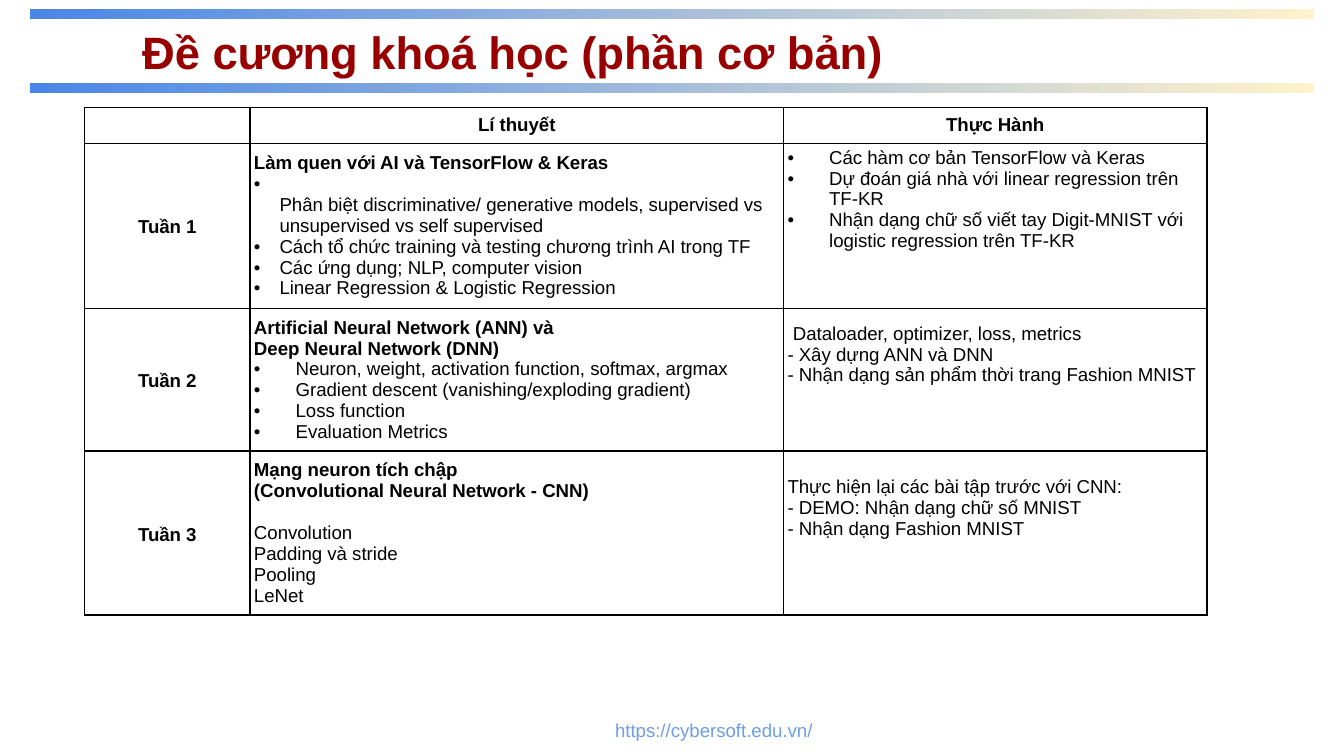
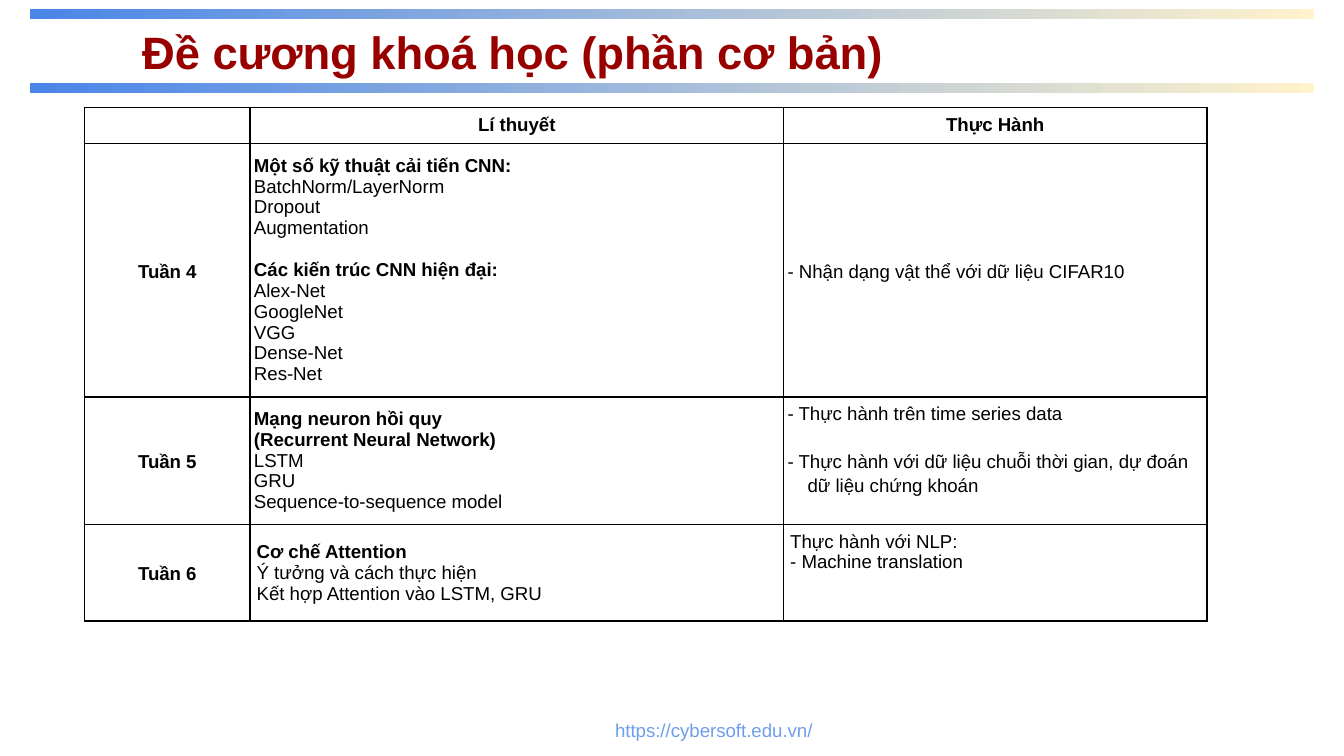
from lxml.etree import SubElement
from collections import namedtuple

from pptx import Presentation
from pptx.dml.color import RGBColor
from pptx.enum.shapes import MSO_SHAPE
from pptx.enum.text import MSO_ANCHOR, PP_ALIGN
from pptx.oxml.ns import qn
from pptx.util import Inches, Pt

BLUE = RGBColor(0x4A, 0x86, 0xE8)
CREAM = RGBColor(0xFF, 0xF2, 0xCC)
LINK_BLUE = RGBColor(0x6D, 0x9E, 0xEB)
DARK_RED = RGBColor(0x98, 0x00, 0x00)
BLACK = RGBColor(0x00, 0x00, 0x00)
FONT = "Arial"

TITLE = "Đề cương khoá học (phần cơ bản)"
FOOTER = "https://cybersoft.edu.vn/"
HEADERS = ["", "Lí thuyết", "Thực Hành"]
COLUMN_WIDTHS = [1.23, 3.97, 3.15]
HEADER_HEIGHT = 0.26
TABLE_LEFT, TABLE_TOP = 0.63, 0.8

# left and hanging are in inches, before in points
Style = namedtuple("Style", "bold bullet left hanging spacing before align",
                   defaults=(False, False, 0, 0, 1.0, 0, PP_ALIGN.LEFT))
PLAIN = Style()
SPACED = Style(before=11.2)
NUDGED = Style(left=0.04)
HEADING = Style(bold=True)
SPACED_HEADING = Style(bold=True, before=11.2)
COLUMN_HEAD = Style(bold=True, align=PP_ALIGN.CENTER)
WEEK = Style(bold=True, spacing=1.15, align=PP_ALIGN.CENTER)
BULLET = Style(bullet=True, left=0.31, hanging=0.31)
NARROW_BULLET = Style(bullet=True, left=0.19, hanging=0.19)
DASH = Style(left=0.15, hanging=0.15, spacing=1.15)
SPACED_DASH = DASH._replace(before=12.9)

# A cell with a top inset hangs from the top; the others are centred vertically
Cell = namedtuple("Cell", "lines margin top", defaults=(0.03, None))
Week = namedtuple("Week", "name height theory practice")

COURSE = [
    [
        Week("Tuần 1", 1.15, Cell([
            (HEADING, "Làm quen với AI và TensorFlow & Keras"),
            (NARROW_BULLET, "\vPhân biệt discriminative/ generative models, "
                            "supervised vs unsupervised vs self supervised"),
            (NARROW_BULLET, "Cách tổ chức training và testing chương trình AI trong TF"),
            (NARROW_BULLET, "Các ứng dụng; NLP, computer vision"),
            (NARROW_BULLET, "Linear Regression & Logistic Regression"),
        ]), Cell([
            (BULLET, "Các hàm cơ bản TensorFlow và Keras"),
            (BULLET, "Dự đoán giá nhà với linear regression trên TF-KR"),
            (BULLET, "Nhận dạng chữ số viết tay Digit-MNIST với "
                     "logistic regression trên TF-KR"),
        ], top=0.03)),
        Week("Tuần 2", 0.99, Cell([
            (HEADING, "Artificial Neural Network (ANN) và \vDeep Neural Network (DNN)"),
            (BULLET, "Neuron, weight, activation function, softmax, argmax"),
            (BULLET, "Gradient descent (vanishing/exploding gradient)"),
            (BULLET, "Loss function"),
            (BULLET, "Evaluation Metrics"),
        ]), Cell([
            (NUDGED, "Dataloader, optimizer, loss, metrics"),
            (PLAIN, "- Xây dựng ANN và DNN"),
            (PLAIN, "- Nhận dạng sản phẩm thời trang Fashion MNIST"),
        ], top=0.11)),
        Week("Tuần 3", 1.14, Cell([
            (HEADING, "Mạng neuron tích chập \v(Convolutional Neural Network - CNN)"),
            (SPACED, "Convolution"),
            (PLAIN, "Padding và stride"),
            (PLAIN, "Pooling"),
            (PLAIN, "LeNet"),
        ]), Cell([
            (PLAIN, "Thực hiện lại các bài tập trước với CNN:"),
            (PLAIN, "- DEMO: Nhận dạng chữ số MNIST"),
            (PLAIN, "- Nhận dạng Fashion MNIST"),
        ], top=0.19)),
    ],
    [
        Week("Tuần 4", 1.76, Cell([
            (HEADING, "Một số kỹ thuật cải tiến CNN:"),
            (PLAIN, "BatchNorm/LayerNorm"),
            (PLAIN, "Dropout"),
            (PLAIN, "Augmentation"),
            (SPACED_HEADING, "Các kiến trúc CNN hiện đại:"),
            (PLAIN, "Alex-Net"),
            (PLAIN, "GoogleNet"),
            (PLAIN, "VGG"),
            (PLAIN, "Dense-Net"),
            (PLAIN, "Res-Net"),
        ]), Cell([
            (DASH, "- Nhận dạng vật thể với dữ liệu CIFAR10"),
        ])),
        Week("Tuần 5", 0.95, Cell([
            (HEADING, "Mạng neuron hồi quy \v(Recurrent Neural Network)"),
            (PLAIN, "LSTM"),
            (PLAIN, "GRU"),
            (PLAIN, "Sequence-to-sequence model"),
        ]), Cell([
            (DASH, "- Thực hành trên time series data"),
            (SPACED_DASH, "- Thực hành với dữ liệu chuỗi thời gian, "
                          "dự đoán dữ liệu chứng khoán"),
        ], top=0.03)),
        Week("Tuần 6", 0.72, Cell([
            (HEADING, "Cơ chế Attention"),
            (PLAIN, "Ý tưởng và cách thực hiện"),
            (PLAIN, "Kết hợp Attention vào LSTM, GRU"),
        ], margin=0.05), Cell([
            (PLAIN, "Thực hành với NLP:"),
            (PLAIN, "- Machine translation"),
        ], margin=0.05, top=0.05)),
    ],
]


def add_label(slide, text, box, inset, anchor, align, size, color, bold=False):
    """Add a one-paragraph text box; inset is its top and bottom margin."""
    frame = slide.shapes.add_textbox(*map(Inches, box)).text_frame
    frame.word_wrap = True
    frame.margin_left = frame.margin_right = Inches(0.1)
    frame.margin_top = frame.margin_bottom = Inches(inset)
    frame.vertical_anchor = anchor
    paragraph = frame.paragraphs[0]
    paragraph.text = text
    paragraph.alignment = align
    paragraph.font.name = FONT
    paragraph.font.size = Pt(size)
    paragraph.font.bold = bold
    paragraph.font.color.rgb = color


def fill_cell(table_cell, content):
    """Write the styled lines of content and draw the cell's black border."""
    table_cell.margin_left = table_cell.margin_right = Inches(content.margin)
    table_cell.margin_bottom = Inches(content.margin)
    if content.top is None:
        table_cell.margin_top = Inches(content.margin)
        table_cell.vertical_anchor = MSO_ANCHOR.MIDDLE
    else:
        table_cell.margin_top = Inches(content.top)
        table_cell.vertical_anchor = MSO_ANCHOR.TOP

    frame = table_cell.text_frame
    for index, (style, text) in enumerate(content.lines):
        paragraph = frame.add_paragraph() if index else frame.paragraphs[0]
        paragraph.text = text
        paragraph.alignment = style.align
        paragraph.line_spacing = style.spacing
        if style.before:
            paragraph.space_before = Pt(style.before)
        properties = paragraph._p.get_or_add_pPr()
        properties.set("marL", str(Inches(style.left)))
        properties.set("indent", str(-Inches(style.hanging)))
        if style.bullet:
            SubElement(properties, qn("a:buFont"), typeface=FONT)
            SubElement(properties, qn("a:buChar"), char="•")
        # Row heights are measured from the fonts of runs, breaks and paragraph ends
        for font in [paragraph.font] + [run.font for run in paragraph.runs]:
            font.name = FONT
            font.size = Pt(10)
            font.bold = style.bold
            font.color.rgb = BLACK
        marks = [SubElement(line_break, qn("a:rPr"), sz="1000")
                 for line_break in paragraph._p.findall(qn("a:br"))]
        marks.append(SubElement(paragraph._p, qn("a:endParaRPr"), sz="1000"))
        for mark in marks:
            SubElement(mark, qn("a:latin"), typeface=FONT)

    cell_properties = table_cell._tc.get_or_add_tcPr()
    for side in ("a:lnL", "a:lnR", "a:lnT", "a:lnB"):
        line = SubElement(cell_properties, qn(side), w=str(Pt(1)))
        solid = SubElement(line, qn("a:solidFill"))
        SubElement(solid, qn("a:srgbClr"), val=str(BLACK))
    table_cell.fill.background()


presentation = Presentation()
presentation.slide_width = Inches(10)
presentation.slide_height = presentation.slide_width * 9 // 16

for weeks in COURSE:
    slide = presentation.slides.add_slide(presentation.slide_layouts[6])

    for band_top in (0.62, 0.07):
        band = slide.shapes.add_shape(MSO_SHAPE.RECTANGLE, Inches(0.22),
                                      Inches(band_top), Inches(9.56), Inches(0.07))
        band.shadow.inherit = False
        band.line.fill.background()
        band.fill.gradient()
        band.fill.gradient_angle = 0
        for stop, color in zip(band.fill.gradient_stops, (BLUE, CREAM)):
            stop.color.rgb = color

    add_label(slide, FOOTER, (3.72, 5.33, 3.18, 0.2), 0, MSO_ANCHOR.MIDDLE,
              PP_ALIGN.CENTER, 10, LINK_BLUE)
    add_label(slide, TITLE, (0.96, 0.08, 8.7, 0.53), 0.1, MSO_ANCHOR.TOP,
              PP_ALIGN.LEFT, 24.3, DARK_RED, bold=True)

    row_heights = [HEADER_HEIGHT] + [week.height for week in weeks]
    table = slide.shapes.add_table(
        len(row_heights), len(COLUMN_WIDTHS), Inches(TABLE_LEFT), Inches(TABLE_TOP),
        Inches(sum(COLUMN_WIDTHS)), Inches(sum(row_heights))).table
    table.first_row = table.horz_banding = False
    for column, width in zip(table.columns, COLUMN_WIDTHS):
        column.width = Inches(width)
    for row, height in zip(table.rows, row_heights):
        row.height = Inches(height)

    rows = [[Cell([(COLUMN_HEAD, header)], margin=0.05, top=0.05) for header in HEADERS]]
    rows += [[Cell([(WEEK, week.name)]), week.theory, week.practice] for week in weeks]
    for row, contents in zip(table.rows, rows):
        for table_cell, content in zip(row.cells, contents):
            fill_cell(table_cell, content)

presentation.save("out.pptx")
